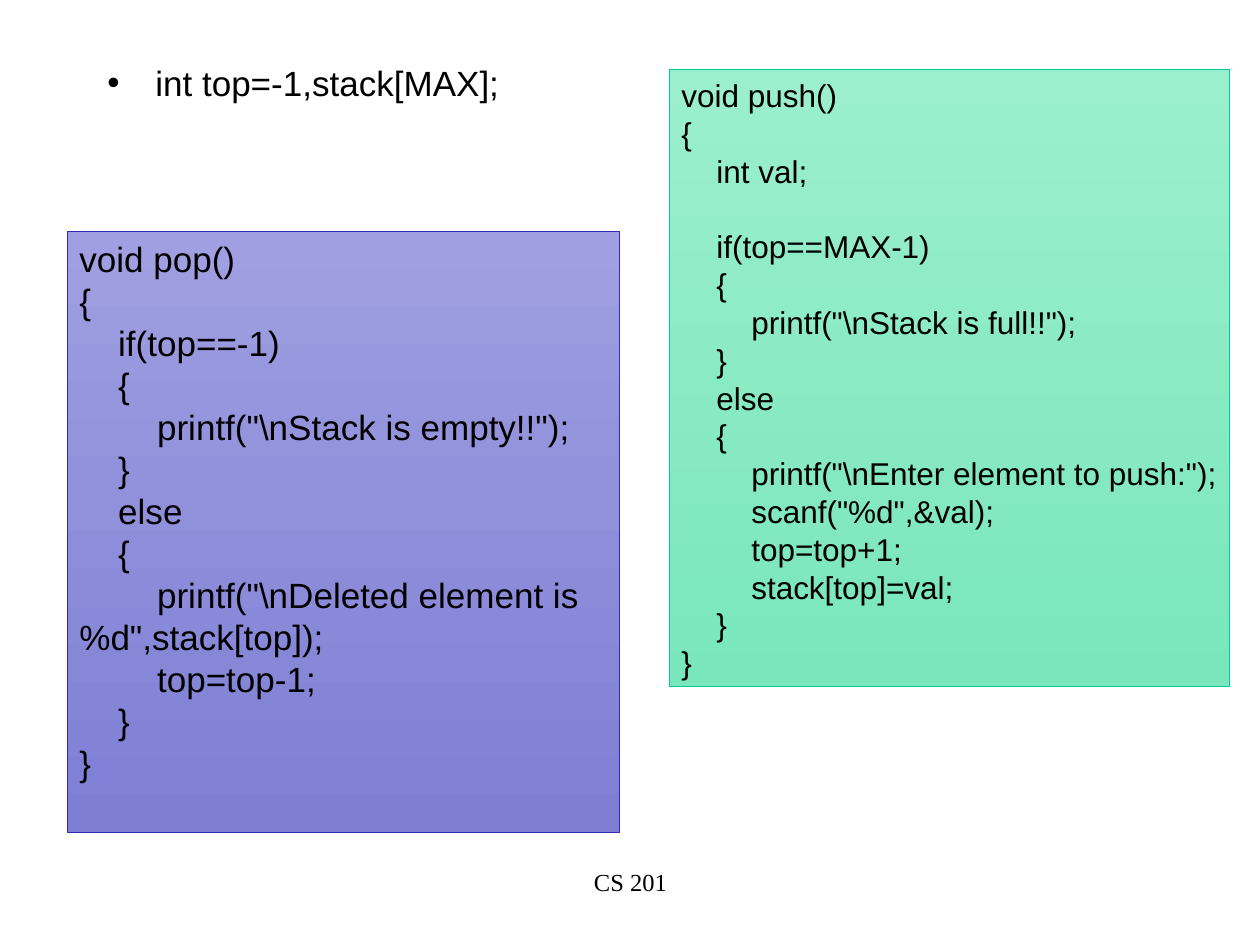
from lxml.etree import SubElement
from pptx import Presentation
from pptx.dml.color import RGBColor
from pptx.enum.shapes import MSO_SHAPE
from pptx.enum.text import MSO_ANCHOR, PP_ALIGN
from pptx.oxml.ns import qn
from pptx.util import Pt

SCALE = 914400 / 126
COLORS = {
    "text": "000000",
    "push_top": "9BEFCC",
    "push_bottom": "79E6BB",
    "push_line": "00CC99",
    "pop_top": "9F9FE1",
    "pop_bottom": "7E7ED5",
    "pop_line": "2D2DB9",
}
FORMATS = {
    "declaration": {"size": Pt(20), "name": "Arial"},
    "push": {"size": Pt(18), "name": "Arial"},
    "pop": {"size": Pt(20), "name": "Arial"},
    "footer": {"size": Pt(14), "name": "Times New Roman"},
}
PUSH_CODE = r'''void push()
{
    int val;
    
    if(top==MAX-1)
    {
        printf("\nStack is full!!");
    }
    else
    {
        printf("\nEnter element to push:");
        scanf("%d",&val);
        top=top+1;
        stack[top]=val;
    }
}'''
POP_CODE = r'''void pop()
{
    if(top==-1)
    {
        printf("\nStack is empty!!");
    }
    else
    {
        printf("\nDeleted element is %d",stack[top]);
        top=top-1;
    }
}'''


def px(value):
    return round(value * SCALE)


def color(name):
    return RGBColor.from_string(COLORS[name])


class SlideBuilder:
    def __init__(self, slide):
        self.slide = slide

    def fill_text(self, shape, text, style, align=PP_ALIGN.LEFT, wrap=True, bullet=False):
        frame = shape.text_frame
        frame.word_wrap = wrap
        frame.vertical_anchor = MSO_ANCHOR.TOP
        frame.text = text
        for paragraph in frame.paragraphs:
            paragraph.alignment = align
            if bullet:
                self.add_bullet(paragraph)
            for run in paragraph.runs:
                for key, value in FORMATS[style].items():
                    setattr(run.font, key, value)
                run.font.color.rgb = color("text")

    def add_bullet(self, paragraph):
        properties = paragraph._p.get_or_add_pPr()
        properties.set("marL", str(px(48)))
        properties.set("indent", str(-px(48)))
        SubElement(properties, qn("a:buFont"), typeface="Arial")
        SubElement(properties, qn("a:buChar"), char="•")

    def text_box(self, box, text, style, **options):
        shape = self.slide.shapes.add_textbox(*map(px, box))
        self.fill_text(shape, text, style, **options)

    def code_panel(self, box, text, style, **options):
        shape = self.slide.shapes.add_shape(MSO_SHAPE.RECTANGLE, *map(px, box))
        shape.shadow.inherit = False
        shape.fill.gradient()
        shape.fill.gradient_angle = 270
        for stop, end in zip(shape.fill.gradient_stops, ("top", "bottom")):
            stop.color.rgb = color(f"{style}_{end}")
        shape.line.color.rgb = color(f"{style}_line")
        shape.line.width = Pt(0.5)
        self.fill_text(shape, text, style, **options)


def main():
    presentation = Presentation()
    presentation.slide_width = px(1260)
    presentation.slide_height = px(945)
    builder = SlideBuilder(presentation.slides.add_slide(presentation.slide_layouts[6]))
    builder.text_box((95, 55, 520, 60), "int top=-1,stack[MAX];", "declaration", bullet=True)
    builder.text_box((431, 861, 399, 63), "CS 201", "footer", align=PP_ALIGN.CENTER)
    builder.code_panel((669, 70, 561, 617), PUSH_CODE, "push", wrap=False)
    builder.code_panel((67, 231, 553, 601), POP_CODE, "pop")
    presentation.save("out.pptx")


if __name__ == "__main__":
    main()
